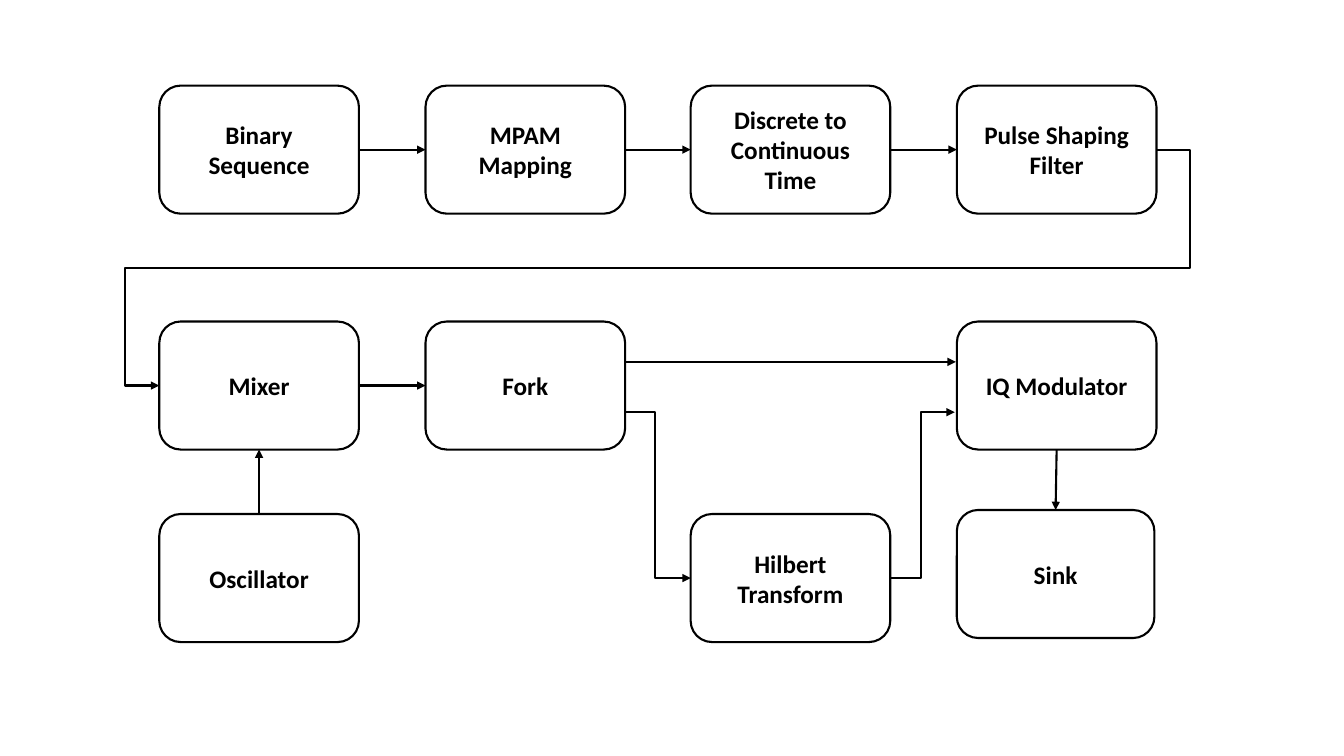
from dataclasses import dataclass
from typing import Optional

from lxml.etree import SubElement
from pptx import Presentation
from pptx.dml.color import RGBColor
from pptx.enum.shapes import MSO_CONNECTOR as Connector, MSO_SHAPE as Shape
from pptx.enum.text import MSO_ANCHOR as Anchor, PP_ALIGN as Align
from pptx.oxml.ns import qn
from pptx.util import Inches, Pt

COLORS = {"line": "000000", "text": "000000", "block": "FFFFFF"}
COLUMNS = (1.58, 4.22, 6.85, 9.49)
ROWS = (0.85, 3.19, 5.1)
BLOCK_WIDTH, BLOCK_HEIGHT = 1.98, 1.27
LINE_WIDTH = Pt(1.5)
TOP, LEFT, BOTTOM, RIGHT = range(4)


@dataclass
class Block:
    text: str
    left: float
    top: float
    width: float = BLOCK_WIDTH


@dataclass
class Link:
    """A straight arrow between the middles of two block sides."""
    source: str
    target: str
    source_side: int = RIGHT
    target_side: int = LEFT


@dataclass
class Route:
    """An arrow between two points, bent where bends are given."""
    start: tuple[float, float]
    end: tuple[float, float]
    bends: tuple[float, ...] = ()
    source: Optional[str] = None
    target: Optional[str] = None


BLOCKS = {
    "binary": Block("Binary Sequence", COLUMNS[0], ROWS[0]),
    "mapping": Block("MPAM Mapping", COLUMNS[1], ROWS[0]),
    "continuous": Block("Discrete to\nContinuous\nTime", COLUMNS[2], ROWS[0]),
    "pulse": Block("Pulse Shaping Filter", COLUMNS[3], ROWS[0]),
    "mixer": Block("Mixer", COLUMNS[0], ROWS[1]),
    "fork": Block("Fork", COLUMNS[1], ROWS[1]),
    "modulator": Block("IQ Modulator", COLUMNS[3], ROWS[1]),
    "oscillator": Block("Oscillator", COLUMNS[0], ROWS[2]),
    "hilbert": Block("Hilbert Transform", COLUMNS[2], ROWS[2]),
    "sink": Block("Sink", COLUMNS[3], 5.06, 1.96),
}
LINKS = (
    Link("binary", "mapping"),
    Link("mapping", "continuous"),
    Link("continuous", "pulse"),
    Link("mixer", "fork"),
    Link("oscillator", "mixer", TOP, BOTTOM),
    Link("modulator", "sink", BOTTOM, TOP),
)
ROUTES = (
    Route((6.2, 3.59), (9.48, 3.59)),
    Route((11.47, 1.48), (1.58, 3.83), (-0.034, 0.5, 1.034), "pulse", "mixer"),
    Route((6.2, 4.09), (6.85, 5.73), (0.45,), target="hilbert"),
    Route((8.83, 5.74), (9.47, 4.09), (0.47,), source="hilbert"),
)


def color(name: str) -> RGBColor:
    return RGBColor.from_string(COLORS[name])


def write_text(frame, text: str, *, size: float = 18, bold: bool = True,
               font: str = "Calibri", fill: str = "text") -> None:
    frame.word_wrap = True
    frame.vertical_anchor = Anchor.MIDDLE
    frame.text = text
    for paragraph in frame.paragraphs:
        paragraph.alignment = Align.CENTER
        paragraph.font.size = Pt(size)
        paragraph.font.bold = bold
        paragraph.font.name = font
        paragraph.font.color.rgb = color(fill)


def add_block(slide, block: Block):
    shape = slide.shapes.add_shape(
        Shape.ROUNDED_RECTANGLE, Inches(block.left), Inches(block.top),
        Inches(block.width), Inches(BLOCK_HEIGHT))
    shape.shadow.inherit = False
    shape.fill.solid()
    shape.fill.fore_color.rgb = color("block")
    shape.line.color.rgb = color("line")
    shape.line.width = LINE_WIDTH
    write_text(shape.text_frame, block.text)
    return shape


def add_arrow(slide, kind: Connector, start: tuple[float, float] = (0, 0),
              end: tuple[float, float] = (0, 0)):
    connector = slide.shapes.add_connector(
        kind, *(Inches(value) for value in (*start, *end)))
    connector.line.color.rgb = color("line")
    connector.line.width = LINE_WIDTH
    properties = connector.element.spPr
    SubElement(properties.find(qn("a:ln")), qn("a:tailEnd"), type="triangle")
    SubElement(properties, qn("a:effectLst"))
    return connector


def add_link(slide, link: Link, shapes: dict) -> None:
    connector = add_arrow(slide, Connector.STRAIGHT)
    connector.begin_connect(shapes[link.source], link.source_side)
    connector.end_connect(shapes[link.target], link.target_side)


def set_bends(connector, bends: tuple[float, ...]) -> None:
    """Place each bend at its share of the connector's extent."""
    geometry = connector.element.spPr.find(qn("a:prstGeom"))
    geometry.set("prst", f"bentConnector{len(bends) + 2}")
    guides = geometry.find(qn("a:avLst"))
    for number, bend in enumerate(bends, start=1):
        SubElement(guides, qn("a:gd"), name=f"adj{number}",
                   fmla=f"val {round(bend * 100000)}")


def add_route(slide, route: Route, shapes: dict) -> None:
    kind = Connector.ELBOW if route.bends else Connector.STRAIGHT
    connector = add_arrow(slide, kind, route.start, route.end)
    if route.bends:
        set_bends(connector, route.bends)
    if route.source:
        connector.begin_connect(shapes[route.source], RIGHT)
    if route.target:
        connector.end_connect(shapes[route.target], LEFT)


def main() -> None:
    presentation = Presentation()
    presentation.slide_width = Inches(13.33)
    presentation.slide_height = Inches(7.5)
    slide = presentation.slides.add_slide(presentation.slide_layouts[6])
    shapes = {name: add_block(slide, block) for name, block in BLOCKS.items()}
    for link in LINKS:
        add_link(slide, link, shapes)
    for route in ROUTES:
        add_route(slide, route, shapes)
    presentation.save("out.pptx")


if __name__ == "__main__":
    main()
